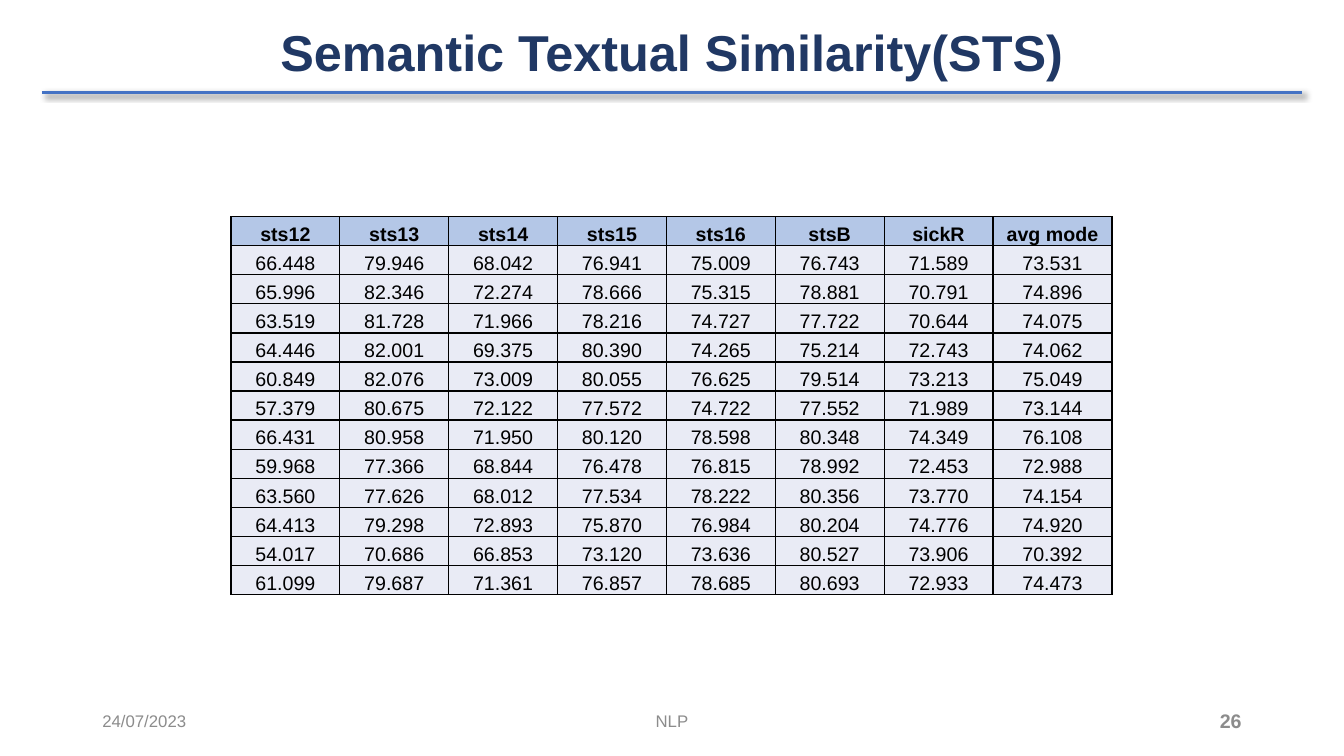
from dataclasses import dataclass

from lxml.etree import SubElement
from pptx import Presentation
from pptx.dml.color import RGBColor
from pptx.enum.shapes import MSO_CONNECTOR
from pptx.enum.text import MSO_ANCHOR as Anchor, PP_ALIGN as Align
from pptx.oxml.ns import qn
from pptx.util import Pt


@dataclass(frozen=True)
class Theme:
    font: str = "Arial"
    title: str = "203864"
    rule: str = "4472C4"
    footer: str = "8C8C8C"
    ink: str = "000000"
    header_fill: str = "B4C7E7"
    body_fill: str = "E9EBF5"
    title_size: float = 36
    table_size: float = 14
    footer_size: float = 12
    number_size: float = 14


@dataclass(frozen=True)
class Box:
    left: float
    top: float
    width: float
    height: float


THEME = Theme()
TITLE_BOX = Box(66, 16.5, 828, 104.5)
RULE_BOX = Box(30, 65.8, 900, 0)
TABLE_BOX = Box(165, 154.8, 629.3, 270)
FOOTER_BOX = Box(66, 500.5, 828, 28.75)

LAST_COLUMN_WIDTH = 85
HEADERS = ["sts12", "sts13", "sts14", "sts15", "sts16", "stsB", "sickR", "avg mode"]
SCORES = [
    [66.448, 79.946, 68.042, 76.941, 75.009, 76.743, 71.589, 73.531],
    [65.996, 82.346, 72.274, 78.666, 75.315, 78.881, 70.791, 74.896],
    [63.519, 81.728, 71.966, 78.216, 74.727, 77.722, 70.644, 74.075],
    [64.446, 82.001, 69.375, 80.390, 74.265, 75.214, 72.743, 74.062],
    [60.849, 82.076, 73.009, 80.055, 76.625, 79.514, 73.213, 75.049],
    [57.379, 80.675, 72.122, 77.572, 74.722, 77.552, 71.989, 73.144],
    [66.431, 80.958, 71.950, 80.120, 78.598, 80.348, 74.349, 76.108],
    [59.968, 77.366, 68.844, 76.478, 76.815, 78.992, 72.453, 72.988],
    [63.560, 77.626, 68.012, 77.534, 78.222, 80.356, 73.770, 74.154],
    [64.413, 79.298, 72.893, 75.870, 76.984, 80.204, 74.776, 74.920],
    [54.017, 70.686, 66.853, 73.120, 73.636, 80.527, 73.906, 70.392],
    [61.099, 79.687, 71.361, 76.857, 78.685, 80.693, 72.933, 74.473],
]


def write_text(frame, text, size, color, align, bold=False):
    paragraph = frame.paragraphs[0]
    paragraph.alignment = align
    run = paragraph.add_run()
    run.text = text
    run.font.name = THEME.font
    run.font.size = Pt(size)
    run.font.bold = bold
    run.font.color.rgb = RGBColor.from_string(color)
    return paragraph


def add_title(slide, box, text):
    title = slide.shapes.title
    title.left, title.top = Pt(box.left), Pt(box.top)
    title.width, title.height = Pt(box.width), Pt(box.height)
    title.text_frame.vertical_anchor = Anchor.TOP
    paragraph = write_text(title.text_frame, text, THEME.title_size, THEME.title,
                           Align.CENTER, bold=True)
    paragraph.line_spacing = 0.9


def add_title_rule(slide, box):
    """Draw the line below the title, with a soft shadow to its lower right."""
    rule = slide.shapes.add_connector(
        MSO_CONNECTOR.STRAIGHT, Pt(box.left), Pt(box.top),
        Pt(box.left + box.width), Pt(box.top + box.height))
    rule.line.color.rgb = RGBColor.from_string(THEME.rule)
    rule.line.width = Pt(2.25)
    effects = SubElement(rule._element.spPr, qn("a:effectLst"))
    shadow = SubElement(effects, qn("a:outerShdw"), blurRad=str(Pt(4)),
                        dist=str(Pt(3)), dir=str(45 * 60000), algn="tl",
                        rotWithShape="0")
    color = SubElement(shadow, qn("a:srgbClr"), val=THEME.ink)
    SubElement(color, qn("a:alpha"), val="40000")


def add_borders(cell):
    properties = cell._tc.get_or_add_tcPr()
    for side in ("lnL", "lnR", "lnT", "lnB"):
        line = SubElement(properties, qn(f"a:{side}"), w=str(Pt(1)))
        fill = SubElement(line, qn("a:solidFill"))
        SubElement(fill, qn("a:srgbClr"), val=THEME.ink)


def format_cell(cell, text, is_header):
    cell.margin_left = cell.margin_right = cell.margin_top = Pt(0.7)
    cell.margin_bottom = Pt(0)
    cell.vertical_anchor = Anchor.BOTTOM
    write_text(cell.text_frame, text, THEME.table_size, THEME.ink, Align.CENTER, is_header)
    add_borders(cell)
    cell.fill.solid()
    color = THEME.header_fill if is_header else THEME.body_fill
    cell.fill.fore_color.rgb = RGBColor.from_string(color)


def add_score_table(slide, box, headers, scores):
    rows = [headers] + [[f"{score:.3f}" for score in row] for row in scores]
    table = slide.shapes.add_table(len(rows), len(headers), Pt(box.left), Pt(box.top),
                                   Pt(box.width), Pt(box.height)).table
    column_width = (box.width - LAST_COLUMN_WIDTH) / (len(headers) - 1)
    for column in table.columns:
        column.width = Pt(column_width)
    table.columns[len(headers) - 1].width = Pt(LAST_COLUMN_WIDTH)
    for row_index, row in enumerate(rows):
        table.rows[row_index].height = Pt(box.height / len(rows))
        for column_index, text in enumerate(row):
            format_cell(table.cell(row_index, column_index), text, row_index == 0)


def add_footer(slide, box, date, label, number):
    """Place date, label and slide number at the left, centre and right of the box."""
    side_width, label_width = 216, 324
    parts = [
        (date, 0, side_width, Align.LEFT, THEME.footer_size, False),
        (label, (box.width - label_width) / 2, label_width, Align.CENTER,
         THEME.footer_size, False),
        (number, box.width - side_width, side_width, Align.RIGHT,
         THEME.number_size, True),
    ]
    for text, offset, width, align, size, bold in parts:
        shape = slide.shapes.add_textbox(Pt(box.left + offset), Pt(box.top),
                                         Pt(width), Pt(box.height))
        shape.text_frame.word_wrap = True
        shape.text_frame.vertical_anchor = Anchor.MIDDLE
        write_text(shape.text_frame, text, size, THEME.footer, align, bold)


def main():
    presentation = Presentation()
    presentation.slide_width, presentation.slide_height = Pt(960), Pt(540)
    slide = presentation.slides.add_slide(presentation.slide_layouts[5])
    add_title_rule(slide, RULE_BOX)
    add_footer(slide, FOOTER_BOX, "24/07/2023", "NLP", "26")
    add_title(slide, TITLE_BOX, "Semantic Textual Similarity(STS)")
    add_score_table(slide, TABLE_BOX, HEADERS, SCORES)
    presentation.save("out.pptx")


if __name__ == "__main__":
    main()
